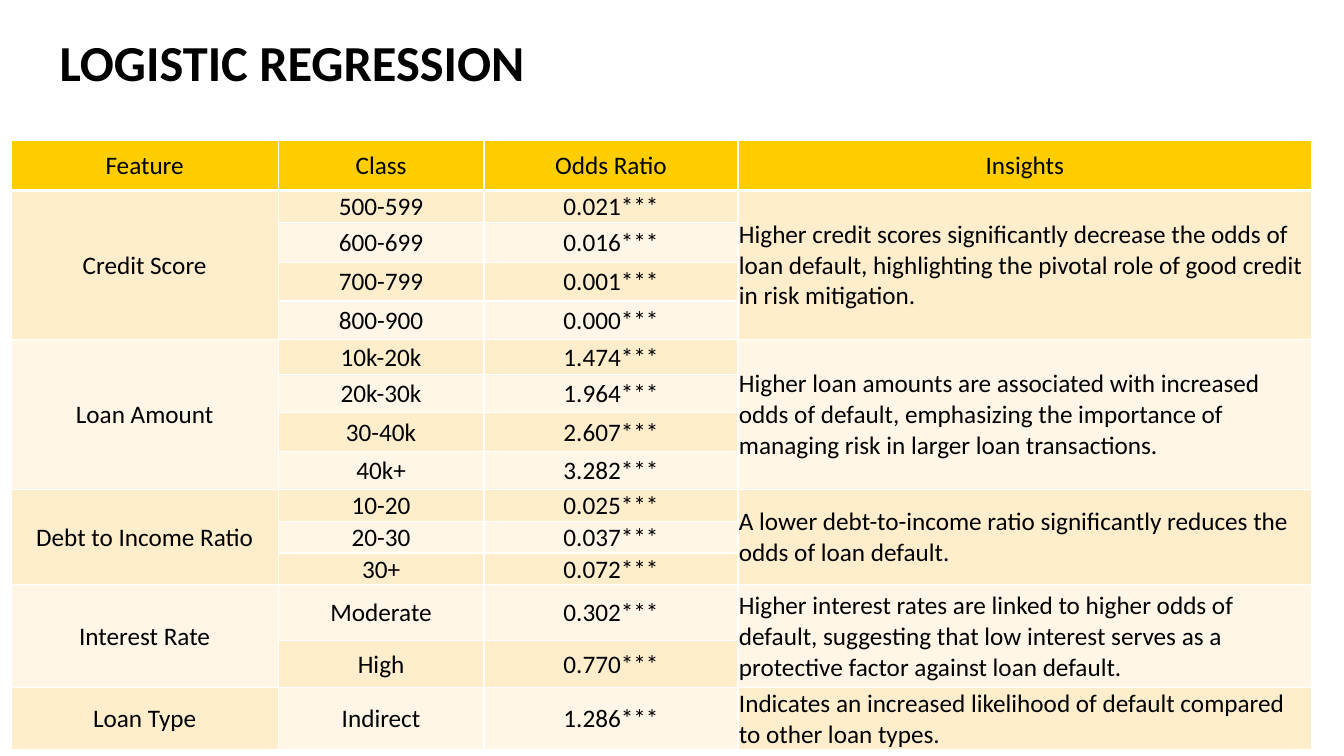
"""Build the logistic regression slide with its table of odds ratios."""
from lxml.etree import SubElement
from pptx import Presentation
from pptx.dml.color import RGBColor
from pptx.enum.text import MSO_ANCHOR as Anchor, PP_ALIGN as Align
from pptx.oxml.ns import qn
from pptx.util import Inches, Pt

GOLD, DARK_BAND, LIGHT_BAND = "FFCD00", "FFEDCC", "FFF6E7"
HEADERS = ["Feature", "Class", "Odds Ratio", "Insights"]
COLUMN_WIDTHS = [2.65, 2.04, 2.52, 5.69]
ROW_HEIGHTS = [0.5, 0.3, 0.4, 0.38, 0.38, 0.35, 0.38, 0.38, 0.38,
               0.25, 0.25, 0.25, 0.55, 0.47, 0.43]
FEATURES = [
    ("Credit Score",
     [("500-599", "0.021***"), ("600-699", "0.016***"),
      ("700-799", "0.001***"), ("800-900", "0.000***")],
     "Higher credit scores significantly decrease the odds of loan default, "
     "highlighting the pivotal role of good credit in risk mitigation."),
    ("Loan Amount",
     [("10k-20k", "1.474***"), ("20k-30k", "1.964***"),
      ("30-40k", "2.607***"), ("40k+", "3.282***")],
     "Higher loan amounts are associated with increased odds of default, "
     "emphasizing the importance of managing risk in larger loan transactions."),
    ("Debt to Income Ratio",
     [("10-20", "0.025***"), ("20-30", "0.037***"), ("30+", "0.072***")],
     "A lower debt-to-income ratio significantly reduces the odds of loan default."),
    ("Interest Rate",
     [("Moderate", "0.302***"), ("High", "0.770***")],
     "Higher interest rates are linked to higher odds of default, suggesting that "
     "low interest serves as a protective factor against loan default."),
    ("Loan Type",
     [("Indirect", "1.286***")],
     "Indicates an increased likelihood of default compared to other loan types."),
]


def color(value):
    return RGBColor.from_string(value)


def write(target, text, size=18, bold=False, align=Align.CENTER, fill=None):
    frame = target.text_frame
    frame.text = text
    paragraph = frame.paragraphs[0]
    paragraph.alignment = align
    font = paragraph.runs[0].font
    font.name, font.size, font.bold = "Calibri", Pt(size), bold
    font.color.rgb = color("000000")
    if fill:
        target.fill.solid()
        target.fill.fore_color.rgb = color(fill)
    return paragraph


presentation = Presentation()
presentation.slide_width, presentation.slide_height = Inches(13.33), Inches(7.5)
slide = presentation.slides.add_slide(presentation.slide_layouts[5])

title = slide.shapes.title
title.left, title.top = Inches(0.59), Inches(0)
title.width, title.height = Inches(9.55), Inches(1.3)
title.text_frame.margin_left = Inches(0)
title.text_frame.vertical_anchor = Anchor.MIDDLE
title.text_frame.word_wrap = True
write(title, "LOGISTIC REGRESSION", size=36, bold=True, align=Align.LEFT).line_spacing = 0.9

table = slide.shapes.add_table(
    len(ROW_HEIGHTS), len(HEADERS),
    Inches(0.11), Inches(1.39), Inches(12.9), Inches(sum(ROW_HEIGHTS))).table
for column, width in zip(table.columns, COLUMN_WIDTHS):
    column.width = Inches(width)
for row, height in zip(table.rows, ROW_HEIGHTS):
    row.height = Inches(height)

for row_index, row in enumerate(table.rows):
    for cell in row.cells:
        cell.vertical_anchor = Anchor.MIDDLE
        cell.margin_left = cell.margin_right = cell.margin_top = Inches(0.01)
        cell.margin_bottom = Inches(0)
        properties = cell._tc.get_or_add_tcPr()
        for side in ("lnL", "lnR", "lnT", "lnB"):
            below_header = (row_index, side) in ((0, "lnB"), (1, "lnT"))
            border = SubElement(properties, qn(f"a:{side}"), w=str(Pt(3 if below_header else 1)))
            SubElement(SubElement(border, qn("a:solidFill")), qn("a:srgbClr"), val="FFFFFF")

for column_index, header in enumerate(HEADERS):
    write(table.cell(0, column_index), header, fill=GOLD)

first_row = 1
for feature_index, (feature, classes, insight) in enumerate(FEATURES):
    last_row = first_row + len(classes) - 1
    if last_row > first_row:
        for column_index in (0, 3):
            table.cell(first_row, column_index).merge(table.cell(last_row, column_index))
    group_fill = LIGHT_BAND if feature_index % 2 else DARK_BAND
    write(table.cell(first_row, 0), feature, fill=group_fill)
    write(table.cell(first_row, 3), insight, align=Align.LEFT, fill=group_fill)
    for row_index, values in enumerate(classes, first_row):
        for column_index, value in enumerate(values, 1):
            write(table.cell(row_index, column_index), value,
                  fill=DARK_BAND if row_index % 2 else LIGHT_BAND)
    first_row = last_row + 1

presentation.save("out.pptx")
